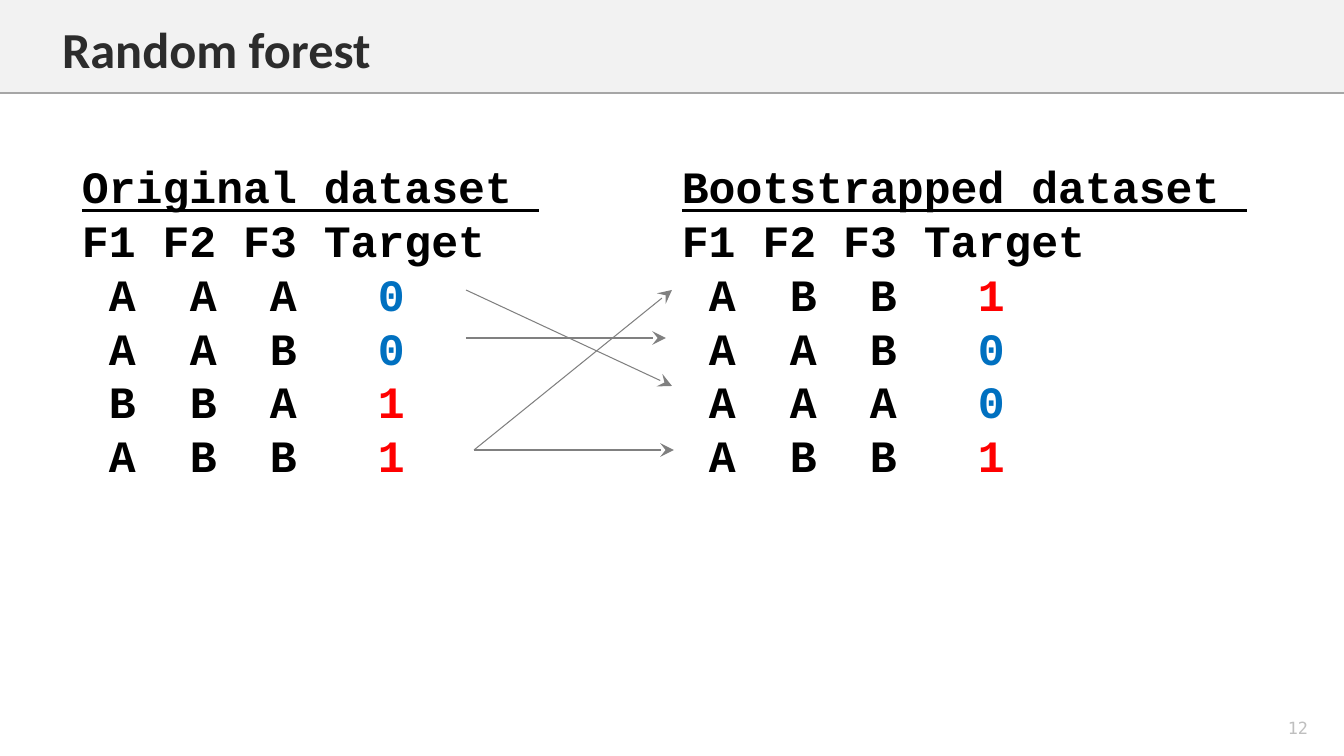
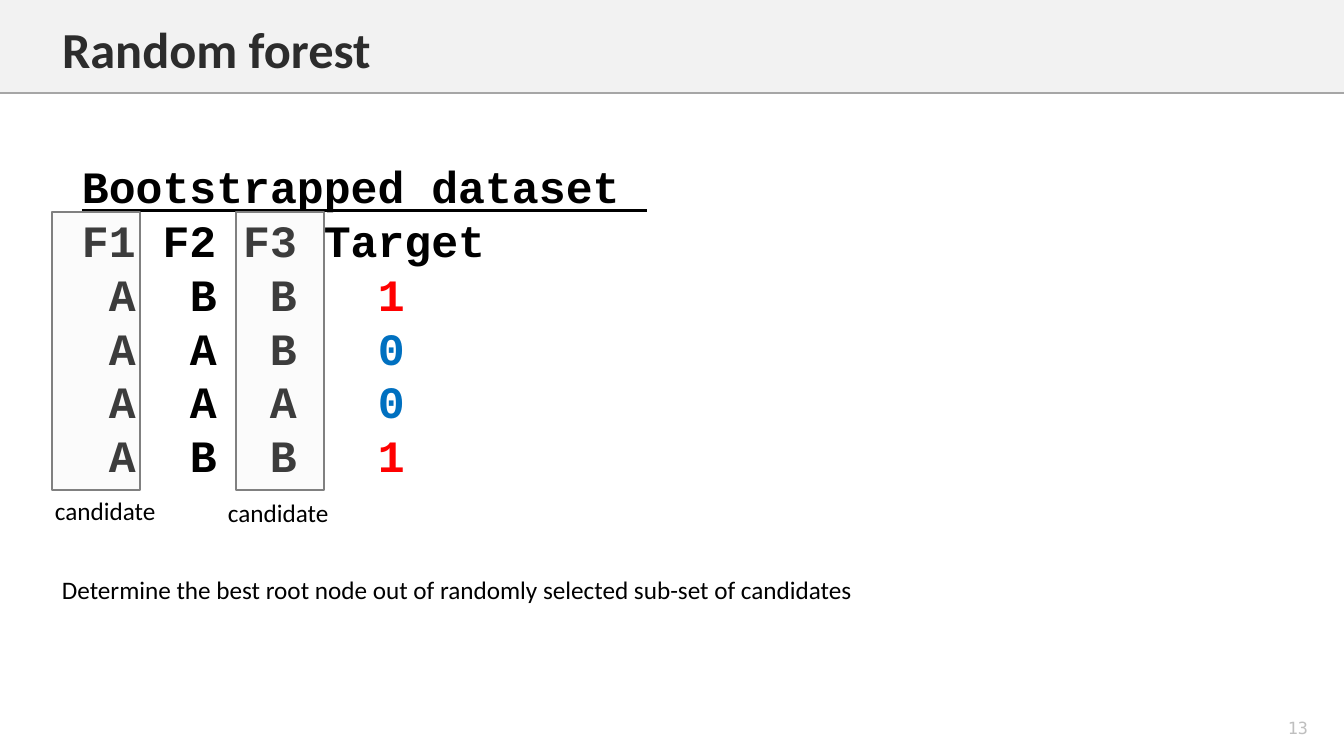
from lxml.etree import SubElement
from pptx import Presentation
from pptx.dml.color import RGBColor
from pptx.enum.shapes import MSO_CONNECTOR as CONN, MSO_SHAPE as SHAPE
from pptx.enum.text import MSO_ANCHOR as ANCHOR, MSO_AUTO_SIZE as FIT, PP_ALIGN as ALIGN
from pptx.oxml.ns import qn
from pptx.util import Emu, Pt

COLORS = {
    "band": "F2F2F2", "rule": "A6A6A6", "number": "BFBFBF", "title": "2C2C2C",
    "text": "000000", "line": "808080", "0": "0070C0", "1": "FF0000",
}
TAB_STOPS = (27, 108, 188, 296)
BOOTSTRAPPED = ("ABB1", "AAB0", "AAA0", "ABB1")


def px(n):
    return Emu(round(n * 914400 / 100.8))


def rgb(name):
    return RGBColor.from_string(COLORS[name])


def write(p, text, size=18, font="Calibri", color="text", bold=False, underline=False):
    r = p.add_run()
    r.text = text
    r.font.size = Pt(size)
    r.font.name = font
    r.font.color.rgb = rgb(color)
    r.font.bold = bold
    r.font.underline = underline


def text_box(s, x, y, w, h, wrap=True):
    tf = s.shapes.add_textbox(px(x), px(y), px(w), px(h)).text_frame
    tf.word_wrap = wrap
    return tf


def line(s, start, end, color="line", width=0.75, arrow=False):
    c = s.shapes.add_connector(CONN.STRAIGHT, *map(px, start + end))
    c.line.color.rgb = rgb(color)
    c.line.width = Pt(width)
    spPr = c.element.spPr
    if arrow:
        SubElement(spPr.find(qn("a:ln")), qn("a:tailEnd"), type="stealth", w="lg", len="lg")
    SubElement(spPr, qn("a:effectLst"))
    return c


def rect(s, x, y, w, h, fill):
    sp = s.shapes.add_shape(SHAPE.RECTANGLE, px(x), px(y), px(w), px(h))
    sp.shadow.inherit = False
    sp.fill.solid()
    sp.fill.fore_color.rgb = rgb(fill)
    return sp


def header_band(s):
    band = rect(s, 0, 0, 1344, 93, "band")
    band.line.fill.background()
    rule = line(s, (0, 93), (1344, 93), "rule", 1)
    tree = s.slide_layout.shapes.element
    for i, part in enumerate((band, rule)):
        tree.insert(2 + i, part.element)


def add_slide(prs, title, number):
    s = prs.slides.add_slide(prs.slide_layouts[5])
    sp = s.shapes.title
    sp.left, sp.top, sp.width, sp.height = map(px, (52, 13, 1199, 72))
    tf = sp.text_frame
    tf.auto_size = FIT.NONE
    tf.vertical_anchor = ANCHOR.TOP
    p = tf.paragraphs[0]
    p.alignment = ALIGN.LEFT
    write(p, title, size=36, color="title", bold=True)
    tf = text_box(s, 1254, 712, 88, 31)
    tf.vertical_anchor = ANCHOR.MIDDLE
    p = tf.paragraphs[0]
    p.alignment = ALIGN.CENTER
    write(p, str(number), size=12, font="DejaVu Sans Mono", color="number")
    return s


def dataset(s, x, y, w, h, name, rows):
    tf = text_box(s, x, y, w, h)
    tf.margin_top = px(11)
    mono = dict(size=32, font="Courier New", bold=True)
    for i in range(len(rows) + 2):
        p = tf.paragraphs[0] if i == 0 else tf.add_paragraph()
        p.line_spacing = Pt(38.4)
        if i == 0:
            write(p, name + " ", underline=True, **mono)
        elif i == 1:
            write(p, "F1 F2 F3 Target", **mono)
        else:
            *features, target = rows[i - 2]
            tabs = SubElement(p._p.get_or_add_pPr(), qn("a:tabLst"))
            for stop in TAB_STOPS:
                SubElement(tabs, qn("a:tab"), pos=str(px(stop)), algn="l")
            write(p, "".join("\t" + f for f in features) + "\t", **mono)
            write(p, target, color=target, **mono)


def candidate(s, x, y, w, h, dx, dy):
    sp = rect(s, x, y, w, h, "band")
    SubElement(sp.fill._xPr.find(qn("a:solidFill"))[0], qn("a:alpha"), val="25000")
    sp.line.color.rgb = rgb("line")
    sp.line.width = Pt(2)
    tf = text_box(s, x + dx, y + h + dy, 122, 40, wrap=False)
    write(tf.paragraphs[0], "candidate")


def sampling_slide(prs):
    s = add_slide(prs, "Random forest", 12)
    header_band(s)
    dataset(s, 72, 148, 552, 336, "Original dataset", ("AAA0", "AAB0", "BBA1", "ABB1"))
    dataset(s, 672, 148, 619, 336, "Bootstrapped dataset", BOOTSTRAPPED)
    for start, end in (
        ((474, 450), (672, 290)),
        ((474, 450), (674, 450)),
        ((466, 290), (672, 386)),
        ((466, 338), (666, 338)),
    ):
        line(s, start, end, arrow=True)


def candidates_slide(prs):
    s = add_slide(prs, "Random forest", 13)
    dataset(s, 72, 148, 696, 336, "Bootstrapped dataset", BOOTSTRAPPED)
    for x, dx, dy in ((52, -7, 0), (236, -18, 2)):
        candidate(s, x, 212, 88, 278, dx, dy)
    tf = text_box(s, 52, 569, 840, 40, wrap=False)
    write(tf.paragraphs[0],
          "Determine the best root node out of randomly selected sub-set of candidates")


def main():
    prs = Presentation()
    prs.slide_width, prs.slide_height = px(1344), px(756)
    sampling_slide(prs)
    candidates_slide(prs)
    prs.save("out.pptx")


if __name__ == "__main__":
    main()
